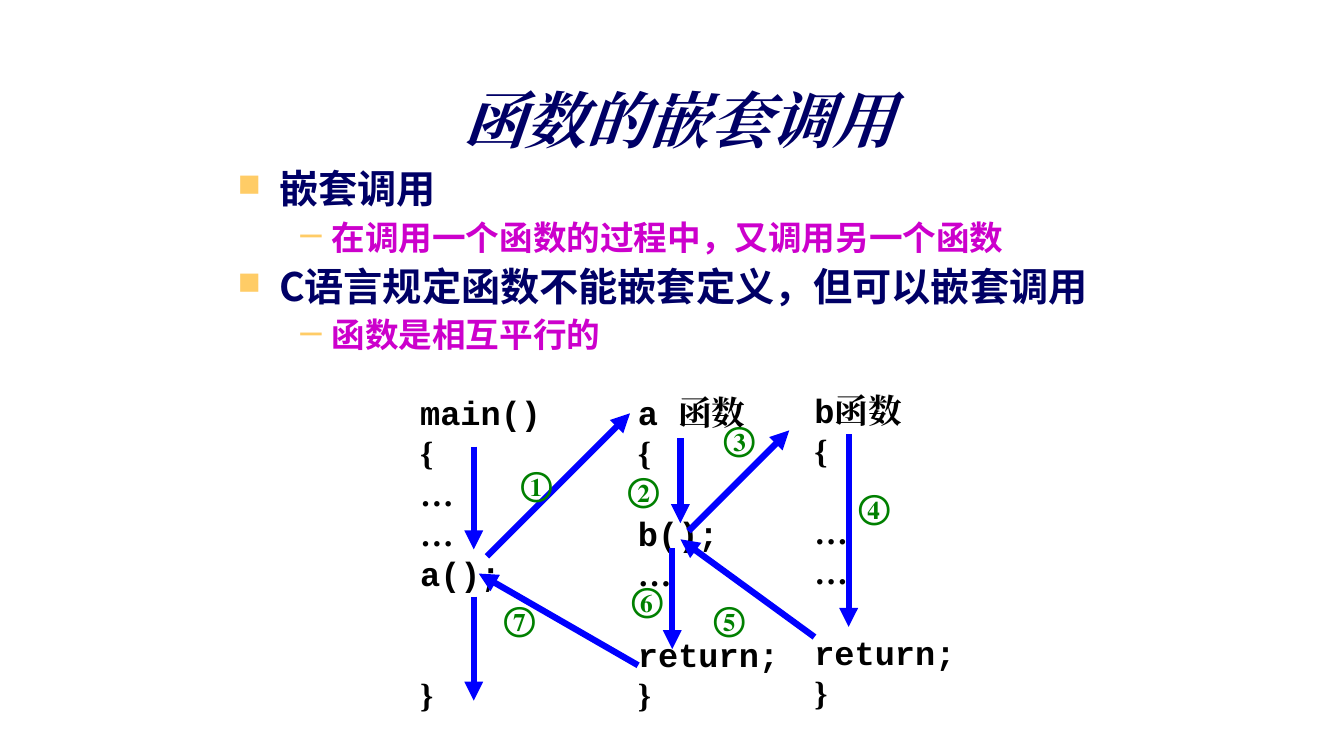
from dataclasses import dataclass

import pptx
import pptx.dml.color
import pptx.enum.shapes
import pptx.enum.text
import pptx.oxml
import pptx.oxml.ns
import pptx.util
from lxml import etree

Pt = pptx.util.Pt
RGBColor = pptx.dml.color.RGBColor
qn = pptx.oxml.ns.qn

NAVY = RGBColor(0x00, 0x00, 0x66)
MAGENTA = RGBColor(0xCC, 0x00, 0xCC)
GOLD = RGBColor(0xFF, 0xCC, 0x66)
BLACK = RGBColor(0x00, 0x00, 0x00)
BLUE = RGBColor(0x00, 0x00, 0xFF)
GREEN = RGBColor(0x00, 0x80, 0x00)

SERIF, SANS, MONO = "Times New Roman", "Noto Sans CJK SC", "Courier New"
CODE_PITCH = 28.8


@dataclass
class Level:
    size: float
    color: RGBColor
    margin: float
    indent: float
    bullet: str
    bullet_percent: int


@dataclass
class CodeLine:
    row: int
    spans: list[tuple[str, str]]


@dataclass
class Function:
    left: float
    top: float
    width: float
    lines: list[CodeLine]


@dataclass
class Arrow:
    start: tuple[float, float]
    end: tuple[float, float]


@dataclass
class Step:
    number: str
    left: float
    top: float


TOPIC = Level(28, NAVY, 29.5, -29.5, "■", 80)
DETAIL = Level(24, MAGENTA, 67, -22.3, "–", 115)
OUTLINE = [
    (TOPIC, "嵌套调用"),
    (DETAIL, "在调用一个函数的过程中，又调用另一个函数"),
    (TOPIC, "C语言规定函数不能嵌套定义，但可以嵌套调用"),
    (DETAIL, "函数是相互平行的"),
]

OPEN = CodeLine(1, [("{", SERIF)])
CLOSE = CodeLine(7, [("}", SERIF)])
RETURN = CodeLine(6, [("return;", MONO)])


def dots(row: int) -> CodeLine:
    return CodeLine(row, [("…", SERIF)])


FUNCTIONS = [
    Function(293, 276.5, 101.5, [
        CodeLine(0, [("main()", MONO)]), OPEN, dots(2), dots(3),
        CodeLine(4, [("a();", MONO)]), CLOSE]),
    Function(448.6, 276.5, 116, [
        CodeLine(0, [("a ", MONO), ("函数", SERIF)]), OPEN,
        CodeLine(3, [("b();", MONO)]), dots(4), RETURN, CLOSE]),
    Function(574.6, 275, 116, [
        CodeLine(0, [("b", MONO), ("函数", SERIF)]), OPEN,
        dots(3), dots(4), RETURN, CLOSE]),
]

ARROWS = [
    Arrow((338.4, 319), (338.4, 392.4)),
    Arrow((347.8, 397.4), (450, 295.2)),
    Arrow((486, 313.2), (486, 373.7)),
    Arrow((491.8, 379.4), (563.8, 307.4)),
    Arrow((606.2, 310.3), (606.2, 447.8)),
    Arrow((581.8, 455), (486, 385.2)),
    Arrow((480.2, 391.7), (480.2, 463.7)),
    Arrow((455.8, 475.2), (342, 409.7)),
    Arrow((338.4, 426.2), (338.4, 500.4)),
]

STEPS = [
    Step("①", 365, 326.9), Step("②", 441.4, 331.2), Step("③", 509.8, 295.2),
    Step("④", 606.2, 343.4), Step("⑤", 502.6, 423.4), Step("⑥", 444.2, 409.7),
    Step("⑦", 352.8, 423.4),
]


def add_box(page, left: float, top: float, width: float, height: float, wrap: bool):
    box = page.shapes.add_textbox(Pt(left), Pt(top), Pt(width), Pt(height))
    box.text_frame.word_wrap = wrap
    return box.text_frame


def style_span(span, font: str, size: float, color: RGBColor) -> None:
    span.font.size = Pt(size)
    span.font.bold = True
    span.font.color.rgb = color
    span.font.name = font
    east_asian = etree.Element(qn("a:ea"), typeface=font)
    span.font._element.find(qn("a:latin")).addnext(east_asian)


def add_title(page) -> None:
    frame = add_box(page, 177.8, 56.2, 614.2, 66.2, True)
    frame.vertical_anchor = pptx.enum.text.MSO_ANCHOR.MIDDLE
    frame.text = "函数的嵌套调用"
    para = frame.paragraphs[0]
    para.alignment = pptx.enum.text.PP_ALIGN.CENTER
    para.line_spacing = 0.85
    span = para.runs[0]
    style_span(span, SERIF, 44, NAVY)
    span.font.italic = True
    # Text shadow
    effects = etree.Element(qn("a:effectLst"))
    shadow = etree.SubElement(effects, qn("a:outerShdw"), dist="38100", dir="2700000")
    etree.SubElement(shadow, qn("a:srgbClr"), val=str(BLACK))
    span.font._element.find(qn("a:solidFill")).addnext(effects)


def add_outline(page) -> None:
    frame = add_box(page, 162.7, 116.6, 646.6, 181.4, True)
    frame.text = "\n".join(text for _, text in OUTLINE)
    for para, (level, _) in zip(frame.paragraphs, OUTLINE):
        para.line_spacing = 0.95
        para.space_before = Pt(level.size * 0.2)
        style_span(para.runs[0], SANS, level.size, level.color)
        settings = para._p.get_or_add_pPr()
        settings.set("marL", str(Pt(level.margin)))
        settings.set("indent", str(Pt(level.indent)))
        color = etree.SubElement(settings, qn("a:buClr"))
        etree.SubElement(color, qn("a:srgbClr"), val=str(GOLD))
        etree.SubElement(settings, qn("a:buSzPct"), val=str(level.bullet_percent * 1000))
        etree.SubElement(settings, qn("a:buChar"), char=level.bullet)


def add_function(page, function: Function) -> None:
    frame = add_box(page, function.left, function.top, function.width, 239.8, False)
    next_row = 0
    for line in function.lines:
        para = frame.add_paragraph() if next_row else frame.paragraphs[0]
        para.line_spacing = Pt(CODE_PITCH)
        para.space_before = Pt((line.row - next_row) * CODE_PITCH)
        for text, font in line.spans:
            span = para.add_run()
            span.text = text
            style_span(span, font, 24, BLACK)
        next_row = line.row + 1


def add_arrow(page, arrow: Arrow) -> None:
    connector = page.shapes.add_connector(
        pptx.enum.shapes.MSO_CONNECTOR.STRAIGHT,
        *(Pt(value) for value in arrow.start + arrow.end))
    connector.line.color.rgb = BLUE
    connector.line.width = Pt(4.5)
    etree.SubElement(connector.line._get_or_add_ln(), qn("a:tailEnd"), type="triangle")
    etree.SubElement(connector._element.spPr, qn("a:effectLst"))


def add_step(page, step: Step) -> None:
    frame = add_box(page, step.left, step.top, 38.9, 36, False)
    frame.text = step.number
    style_span(frame.paragraphs[0].runs[0], SERIF, 24, GREEN)


def main() -> None:
    deck = pptx.Presentation()
    deck.slide_width, deck.slide_height = Pt(960), Pt(540)
    page = deck.slides.add_slide(deck.slide_layouts[6])
    # Heading and bullet points
    add_title(page)
    add_outline(page)
    # Call diagram
    for function in FUNCTIONS:
        add_function(page, function)
    for arrow in ARROWS:
        add_arrow(page, arrow)
    for step in STEPS:
        add_step(page, step)
    deck.save("out.pptx")


if __name__ == "__main__":
    main()
